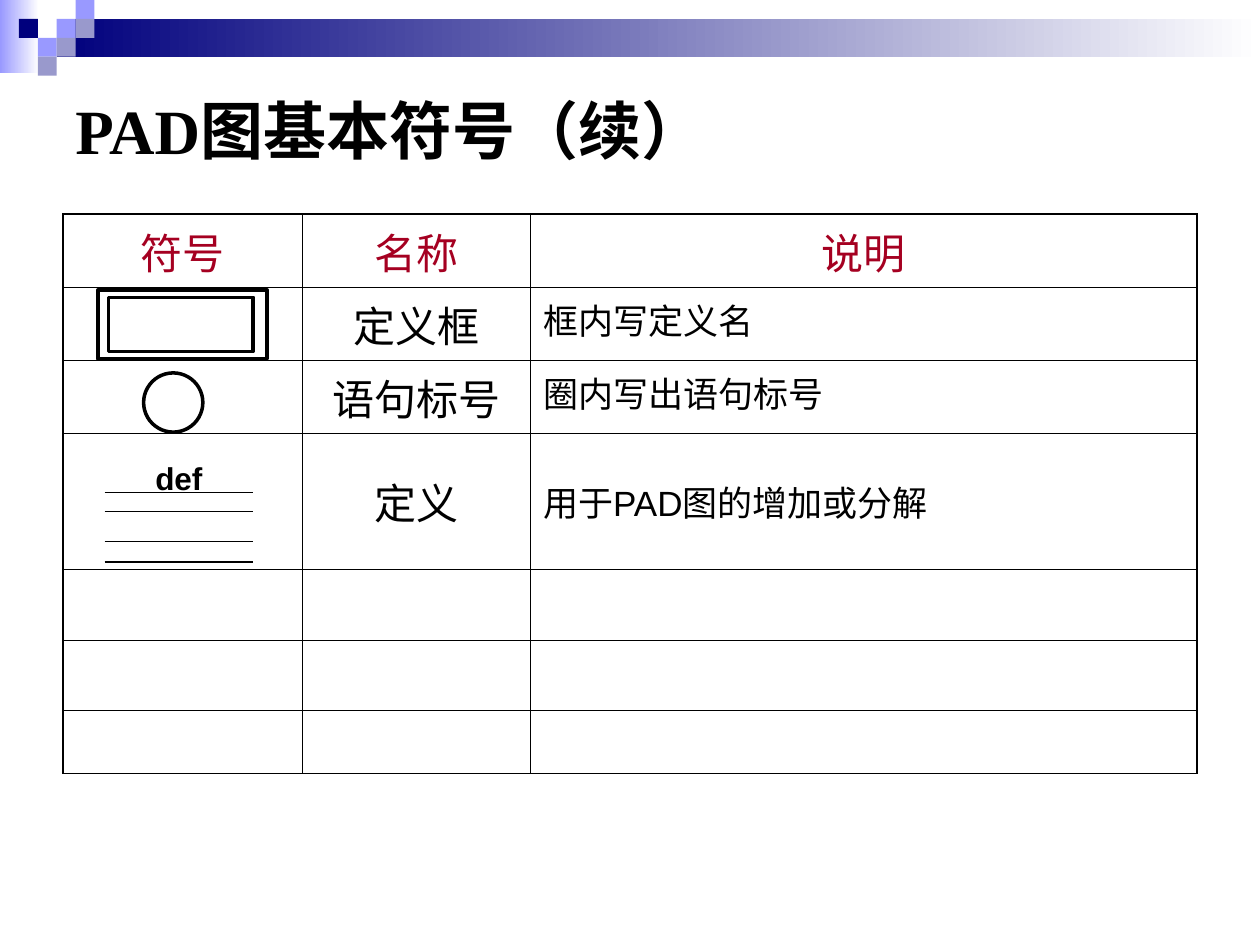
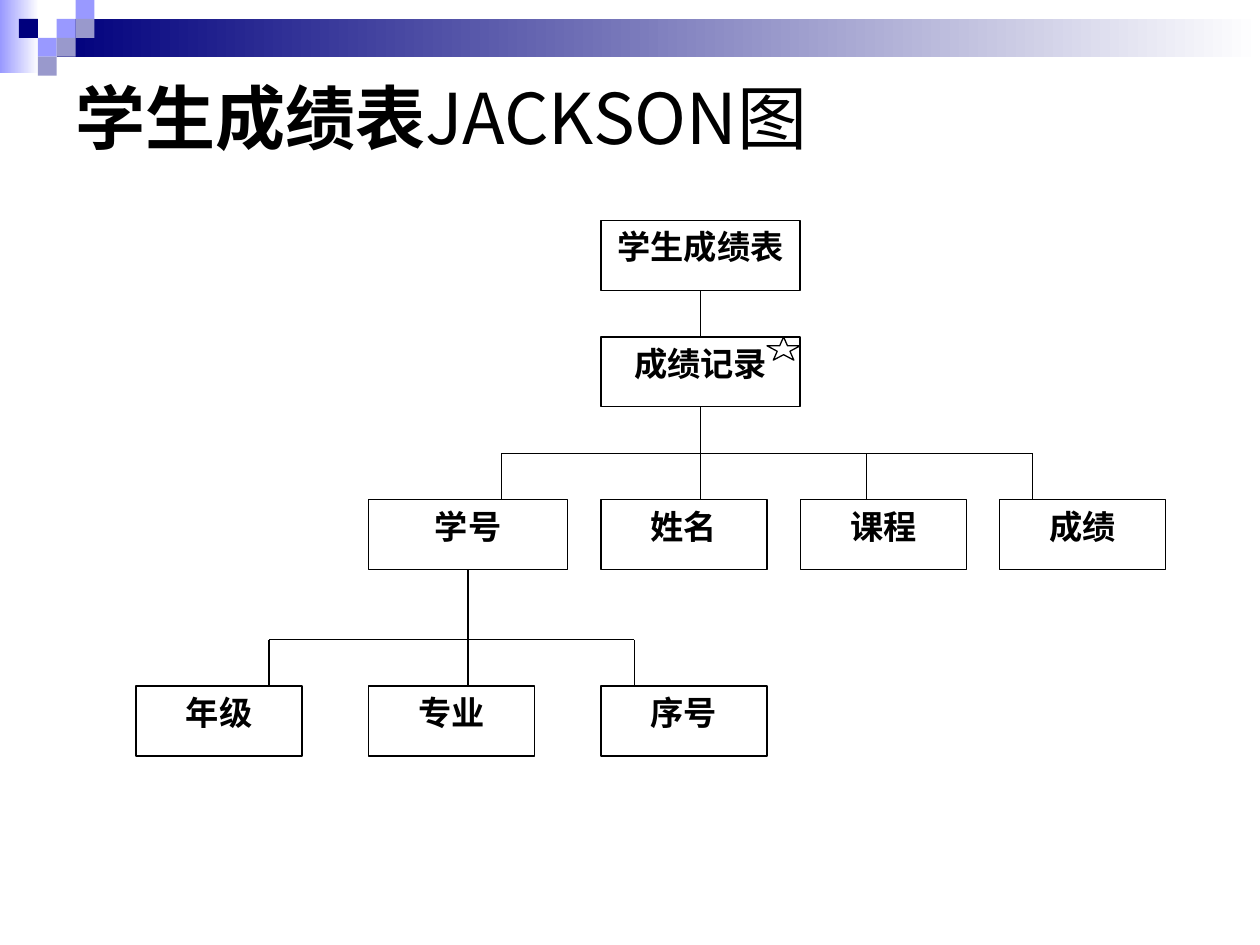
from lxml.etree import SubElement
from pptx import Presentation
from pptx.dml.color import RGBColor
from pptx.enum.shapes import MSO_CONNECTOR, MSO_SHAPE
from pptx.enum.text import MSO_ANCHOR, PP_ALIGN
from pptx.oxml import parse_xml
from pptx.oxml.ns import nsdecls, qn
from pptx.util import Inches, Pt

BLACK = RGBColor(0x00, 0x00, 0x00)
WHITE = RGBColor(0xFF, 0xFF, 0xFF)
NAVY = RGBColor(0x00, 0x00, 0x7D)
LILAC = RGBColor(0x99, 0x99, 0xFF)
SLATE = RGBColor(0x99, 0x99, 0xCC)
RED = RGBColor(0xA5, 0x00, 0x21)
SERIF = "Times New Roman"
SANS = "Arial"
HAN = "Noto Sans CJK SC"
THIN, THICK = 0.45, 1.08
LEFT, MID = PP_ALIGN.LEFT, PP_ALIGN.CENTER


def add_run(par, text, size, face, color=BLACK, bold=False):
    run = par.add_run()
    run.text = text
    font = run.font
    font.size, font.name, font.bold = Pt(size), face, bold
    font.color.rgb = color
    SubElement(run._r.get_or_add_rPr(), qn("a:ea")).set("typeface", HAN)


def add_text(slide, box, runs, align=LEFT, anchor=MSO_ANCHOR.TOP):
    shape = slide.shapes.add_textbox(*map(Inches, box))
    frame = shape.text_frame
    frame.word_wrap = True
    frame.vertical_anchor = anchor
    par = frame.paragraphs[0]
    par.alignment = align
    for run in runs:
        add_run(par, *run)


def add_form(slide, box, fill=None, line=None, kind=MSO_SHAPE.RECTANGLE):
    shape = slide.shapes.add_shape(kind, *map(Inches, box))
    shape.shadow.inherit = False
    if fill is None:
        shape.fill.background()
    elif isinstance(fill, tuple) and not isinstance(fill, RGBColor):
        shape.fill.gradient()
        shape.fill.gradient_angle = 0
        for stop, color in zip(shape.fill.gradient_stops, fill):
            stop.color.rgb = color
    else:
        shape.fill.solid()
        shape.fill.fore_color.rgb = fill
    if line is None:
        shape.line.fill.background()
    else:
        shape.line.color.rgb = BLACK
        shape.line.width = Pt(line)
    return shape


def add_line(slide, x1, y1, x2, y2):
    line = slide.shapes.add_connector(
        MSO_CONNECTOR.STRAIGHT, *map(Inches, (x1, y1, x2, y2)))
    line.line.color.rgb = BLACK
    line.line.width = Pt(0.75)
    SubElement(line._element.spPr, qn("a:effectLst"))
    return line


def add_band(slide):
    add_form(slide, (0, 0, 0.31, 0.58), (LILAC, WHITE))
    add_form(slide, (0.45, 0.15, 9.55, 0.3), (NAVY, WHITE))
    side = 0.15
    tiles = [(3, 1, LILAC), (4, 0, LILAC), (4, 1, SLATE), (2, 2, LILAC),
             (1, 1, NAVY), (3, 2, SLATE), (2, 3, SLATE)]
    for col, row, color in tiles:
        add_form(slide, (col * side, row * side, side, side), color)


def add_page(deck, height, runs):
    slide = deck.slides.add_slide(deck.slide_layouts[6])
    add_band(slide)
    add_text(slide, (0.5, 0.5, 9, height), runs, anchor=MSO_ANCHOR.MIDDLE)
    return slide


def set_edge(cell, widths):
    props = cell._tc.get_or_add_tcPr()
    for spot, (side, width) in enumerate(zip("LRTB", widths)):
        props.insert(spot, parse_xml(
            f'<a:ln{side} {nsdecls("a")} w="{Pt(width)}"><a:solidFill>'
            f'<a:srgbClr val="{BLACK}"/></a:solidFill></a:ln{side}>'))


def add_grid(slide, box):
    rows = [("符号", "名称", "说明"), ("", "定义框", "框内写定义名"),
            ("", "语句标号", "圈内写出语句标号"),
            ("", "定义", "用于PAD图的增加或分解")] + [("", "", "")] * 3
    tall = [0.58, 0.58, 0.58, 1.08, 0.56, 0.56, 0.5]
    wide = [1.9, 1.81, 5.29]
    grid = slide.shapes.add_table(
        len(tall), len(wide), *map(Inches, box)).table
    grid.first_row = grid.horz_banding = False
    for col, width in zip(grid.columns, wide):
        col.width = Inches(width)
    for r, texts in enumerate(rows):
        grid.rows[r].height = Inches(tall[r])
        for c, text in enumerate(texts):
            cell = grid.cell(r, c)
            cell.fill.background()
            outer = (c == 0, c == 2, r == 0, r == len(rows) - 1)
            set_edge(cell, [THICK if edge else THIN for edge in outer])
            if r == 3:
                cell.vertical_anchor = MSO_ANCHOR.MIDDLE
            if text:
                note = r > 0 and c == 2
                par = cell.text_frame.paragraphs[0]
                par.alignment = LEFT if note else MID
                add_run(par, text, 20 if note else 24, SANS,
                        BLACK if r else RED)


def add_frame(slide, x, y):
    add_form(slide, (x, y, 1.34, 0.55), line=2)
    add_form(slide, (x + 0.08, y + 0.06, 1.15, 0.43), line=2)


def add_def(slide, x, y):
    width = 1.18
    for drop in (0.32, 0.47, 0.71, 0.87):
        add_line(slide, x, y + drop, x + width, y + drop)
    add_text(slide, (x, y, width, 0.4), [("def", 18, SANS, BLACK, True)], MID)


def add_tree(slide, x, y, width, height):
    unit, step = width / 31, height / 23

    def add_node(text, col, row, span):
        node = add_form(slide, (x + col * unit, y + row * step,
                                span * unit, 3 * step), WHITE, 0.75)
        frame = node.text_frame
        frame.word_wrap = True
        frame.vertical_anchor = MSO_ANCHOR.TOP
        par = frame.paragraphs[0]
        par.alignment = MID
        add_run(par, text, 19, SERIF, BLACK, True)
        return node

    def add_link(c1, r1, c2, r2):
        return add_line(slide, x + c1 * unit, y + r1 * step,
                        x + c2 * unit, y + r2 * step)

    def add_fork(node, stem, top, bus, end, stops):
        add_link(stem, top, stem, bus).begin_connect(node, 2)
        add_link(stops[0], bus, stops[-1], bus)
        for stop in stops:
            add_link(stop, bus, stop, end)

    root = add_node("学生成绩表", 14, 0, 6)
    record = add_node("成绩记录", 14, 5, 6)
    number = add_node("学号", 7, 12, 6)
    for text, col, row in [("姓名", 14, 12), ("课程", 20, 12),
                           ("成绩", 26, 12), ("年级", 0, 20),
                           ("专业", 7, 20), ("序号", 14, 20)]:
        add_node(text, col, row, 5)
    add_form(slide, (x + 19 * unit, y + 5 * step, unit, step),
             WHITE, 0.75, MSO_SHAPE.STAR_5_POINT)
    trunk = add_link(17, 3, 17, 5)
    trunk.begin_connect(root, 2)
    trunk.end_connect(record, 0)
    add_fork(record, 17, 8, 10, 12, [11, 17, 22, 27])
    add_fork(number, 10, 15, 18, 20, [4, 10, 15])


def main():
    deck = Presentation()
    deck.slide_width, deck.slide_height = Inches(10), Inches(7.5)

    signs = add_page(deck, 1.05,
                     [("PAD图基本符号（续）", 36, SERIF, BLACK, True)])
    add_grid(signs, (0.5, 1.7, 9, 4.44))
    add_frame(signs, 0.78, 2.3)
    add_form(signs, (1.14, 2.96, 0.47, 0.47), line=2, kind=MSO_SHAPE.OVAL)
    add_def(signs, 0.83, 3.59)

    chart = add_page(deck, 0.85, [("学生成绩表", 40, SERIF, BLACK, True),
                                  ("JACKSON图", 40, HAN)])
    add_tree(chart, 1.08, 1.75, 8.17, 4.25)
    deck.save("out.pptx")


if __name__ == "__main__":
    main()
